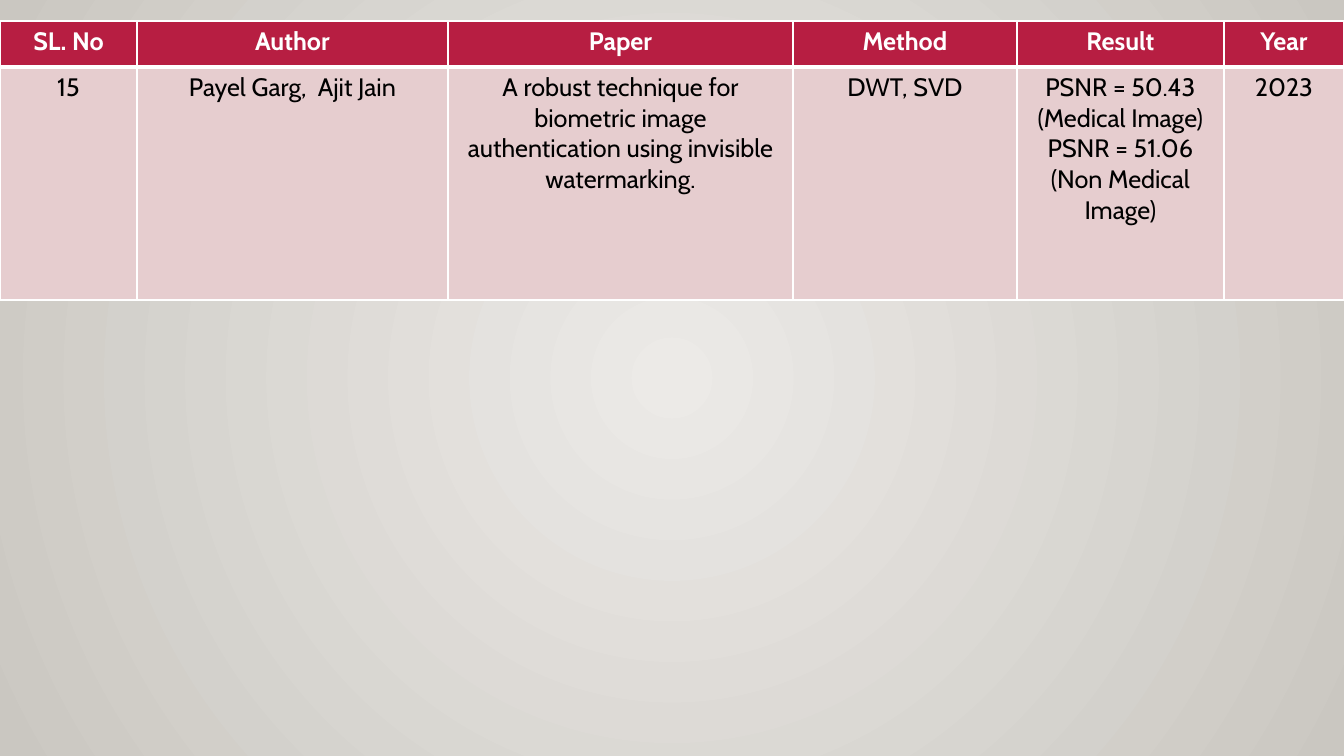
from lxml.etree import SubElement
from pptx import Presentation
from pptx.dml.color import RGBColor
from pptx.enum.text import PP_ALIGN
from pptx.oxml import parse_xml
from pptx.oxml.ns import nsdecls, qn
from pptx.util import Emu, Pt

COLORS = {
    "header": "B71E42",
    "body": "E6CDCF",
    "white": "FFFFFF",
    "black": "000000",
    "bg_center": "ECEAE7",
    "bg_edge": "CAC7C1",
}
COL_WIDTHS = [137, 311, 345, 224, 207, 120]
ROW_HEIGHTS = [46, 233]
ROWS = [
    ["SL. No", "Author", "Paper", "Method", "Result", "Year"],
    [
        "15",
        "Payel Garg,  Ajit Jain",
        "A robust technique for biometric image authentication using invisible watermarking.",
        "DWT, SVD",
        "PSNR = 50.43 (Medical Image)\nPSNR = 51.06 (Non Medical Image)",
        "2023",
    ],
]


def px(n):
    return Emu(round(n * 914400 / 100.8))


def rgb(name):
    return RGBColor.from_string(COLORS[name])


def set_background(s):
    fill = s.background.fill
    fill.gradient()
    for stop, name in zip(fill.gradient_stops, ("bg_center", "bg_edge")):
        stop.color.rgb = rgb(name)
    grad = s.element.find(".//" + qn("a:gradFill"))
    grad.remove(grad.find(qn("a:lin")))
    circle = SubElement(grad, qn("a:path"), path="circle")
    SubElement(circle, qn("a:fillToRect"), l="50000", t="50000", r="50000", b="50000")


def write_text(tf, text, size=18, color="black", bold=False, font="Cabin", align=PP_ALIGN.CENTER):
    for i, line in enumerate(text.split("\n")):
        p = tf.add_paragraph() if i else tf.paragraphs[0]
        p.alignment = align
        r = p.add_run()
        r.text = line
        r.font.name = font
        r.font.size = Pt(size)
        r.font.bold = bold
        r.font.color.rgb = rgb(color)


def set_borders(cell, **widths):
    tcPr = cell._tc.get_or_add_tcPr()
    for i, (side, width) in enumerate(widths.items()):
        tcPr.insert(i, parse_xml(
            f'<a:ln{side} {nsdecls("a")} w="{Pt(width)}"><a:solidFill>'
            f'<a:srgbClr val="{COLORS["white"]}"/></a:solidFill></a:ln{side}>'
        ))


def add_paper_table(s, left, top):
    frame = s.shapes.add_table(
        len(ROWS), len(COL_WIDTHS), px(left), px(top), px(sum(COL_WIDTHS)), px(sum(ROW_HEIGHTS))
    )
    table = frame.table
    for col, width in zip(table.columns, COL_WIDTHS):
        col.width = px(width)
    for i, (row, height) in enumerate(zip(table.rows, ROW_HEIGHTS)):
        row.height = px(height)
        header = i == 0
        for cell, text in zip(row.cells, ROWS[i]):
            cell.fill.solid()
            cell.fill.fore_color.rgb = rgb("header" if header else "body")
            write_text(cell.text_frame, text, color="white" if header else "black", bold=header)
            set_borders(cell, L=1, R=1, T=1 if header else 3, B=3 if header else 1)


def main():
    prs = Presentation()
    prs.slide_width, prs.slide_height = px(1344), px(756)
    s = prs.slides.add_slide(prs.slide_layouts[6])
    set_background(s)
    add_paper_table(s, 0, 21)
    prs.save("out.pptx")


if __name__ == "__main__":
    main()
